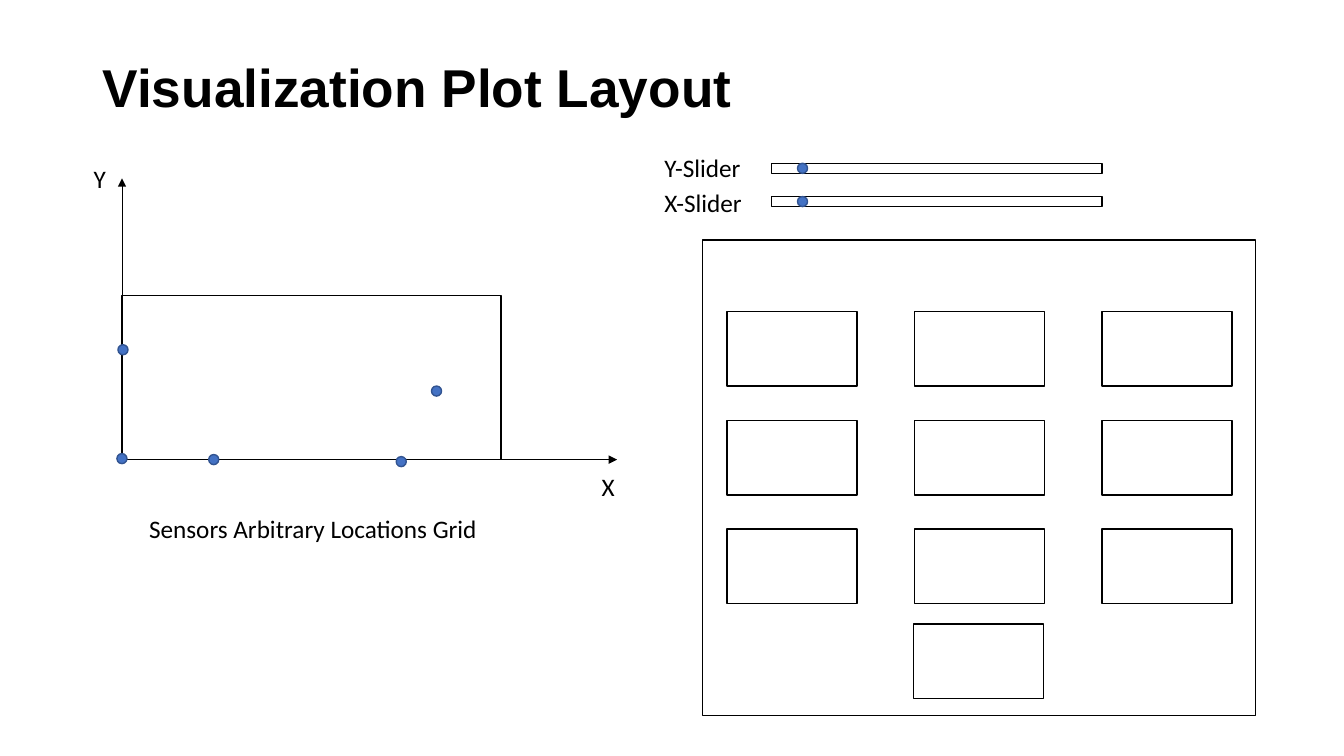
import pptx
import pptx.util
import pptx.dml.color
import pptx.enum.shapes
import pptx.enum.text
import pptx.oxml.ns
import lxml.etree

Inches = pptx.util.Inches
Pt = pptx.util.Pt
SHAPES = pptx.enum.shapes.MSO_SHAPE
BLACK = pptx.dml.color.RGBColor(0x00, 0x00, 0x00)
BLUE = pptx.dml.color.RGBColor(0x44, 0x72, 0xC4)
DARK_BLUE = pptx.dml.color.RGBColor(0x32, 0x54, 0x91)
DOT = 0.1
LABEL_HEIGHT = 0.4


def add_label(slide, text, left, top, width, height=LABEL_HEIGHT, size=18, font="Calibri", bold=False):
    label = slide.shapes.add_textbox(Inches(left), Inches(top), Inches(width), Inches(height))
    label.text_frame.word_wrap = True
    label.text_frame.text = text
    run = label.text_frame.paragraphs[0].runs[0]
    run.font.name = font
    run.font.size = Pt(size)
    run.font.bold = bold
    run.font.color.rgb = BLACK
    return label


def add_outline(shapes, left, top, width, height):
    outline = shapes.add_shape(SHAPES.RECTANGLE, Inches(left), Inches(top), Inches(width), Inches(height))
    outline.shadow.inherit = False
    outline.fill.background()
    outline.line.color.rgb = BLACK
    outline.line.width = Pt(1)


def add_dot(shapes, left, top):
    dot = shapes.add_shape(SHAPES.OVAL, Inches(left), Inches(top), Inches(DOT), Inches(DOT))
    dot.shadow.inherit = False
    dot.fill.solid()
    dot.fill.fore_color.rgb = BLUE
    dot.line.color.rgb = DARK_BLUE
    dot.line.width = Pt(1)


def add_axis(slide, start, end):
    axis = slide.shapes.add_connector(
        pptx.enum.shapes.MSO_CONNECTOR.STRAIGHT, *(Inches(value) for value in start + end))
    axis.line.color.rgb = BLACK
    axis.line.width = Pt(0.5)
    qn = pptx.oxml.ns.qn
    lxml.etree.SubElement(axis.line._get_or_add_ln(), qn("a:tailEnd"), type="triangle")
    lxml.etree.SubElement(axis._element.spPr, qn("a:effectLst"))


def add_title(slide, left, top, width, height):
    title = add_label(slide, "Visualization Plot Layout", left, top, width, height, 38, "Arial", True)
    title.text_frame.vertical_anchor = pptx.enum.text.MSO_ANCHOR.MIDDLE
    title.text_frame.paragraphs[0].line_spacing = 0.9


def add_sensor_grid(slide, left, top, width, height):
    bottom = top + height
    area_width, area_height = 3.76, 1.63
    add_outline(slide.shapes, left, bottom - area_height, area_width, area_height)
    add_axis(slide, (left, bottom), (left, top))
    add_axis(slide, (left, bottom), (left + width, bottom))
    add_label(slide, "Y", left - 0.38, top - 0.2, 0.5)
    add_label(slide, "X", left + width - 0.25, bottom + 0.07, 0.5)
    add_label(slide, "Sensors Arbitrary Locations Grid", left + 0.17, bottom + 0.48, 3.59)
    sensors = [(-0.04, 1.14), (3.07, 0.73), (2.72, 0.03), (-0.05, 0.06), (0.86, 0.05)]
    for across, up in sensors:
        add_dot(slide.shapes, left + across, bottom - up)


def add_plot_panel(slide, left, top, width, height):
    panel = slide.shapes.add_group_shape().shapes
    add_outline(panel, left, top, width, height)
    plot_width, plot_height = 1.29, 0.74
    first_left, first_top = left + 0.24, top + 0.71
    column_step, row_step = 1.86, 1.08
    plots = [(column * column_step, row * row_step) for row in range(3) for column in range(3)]
    plots.append((column_step - 0.01, 3.1))
    for across, down in plots:
        add_outline(panel, first_left + across, first_top + down, plot_width, plot_height)


def add_slider(slide, text, left, top, label_top):
    add_label(slide, text, left, label_top, 1.04)
    slider = slide.shapes.add_group_shape().shapes
    track_left = left + 1.16
    add_outline(slider, track_left, top, 3.28, DOT)
    add_dot(slider, track_left + 0.26, top)


def main():
    deck = pptx.Presentation()
    deck.slide_width = Inches(13.33)
    deck.slide_height = Inches(7.5)
    slide = deck.slides.add_slide(deck.slide_layouts[6])
    add_title(slide, 0.92, 0.4, 11.5, 1)
    add_sensor_grid(slide, 1.21, 1.77, 4.91, 2.79)
    add_plot_panel(slide, 6.97, 2.38, 5.48, 4.72)
    add_slider(slide, "Y-Slider", 6.49, 1.62, 1.46)
    add_slider(slide, "X-Slider", 6.49, 1.95, 1.81)
    deck.save("out.pptx")


if __name__ == "__main__":
    main()
